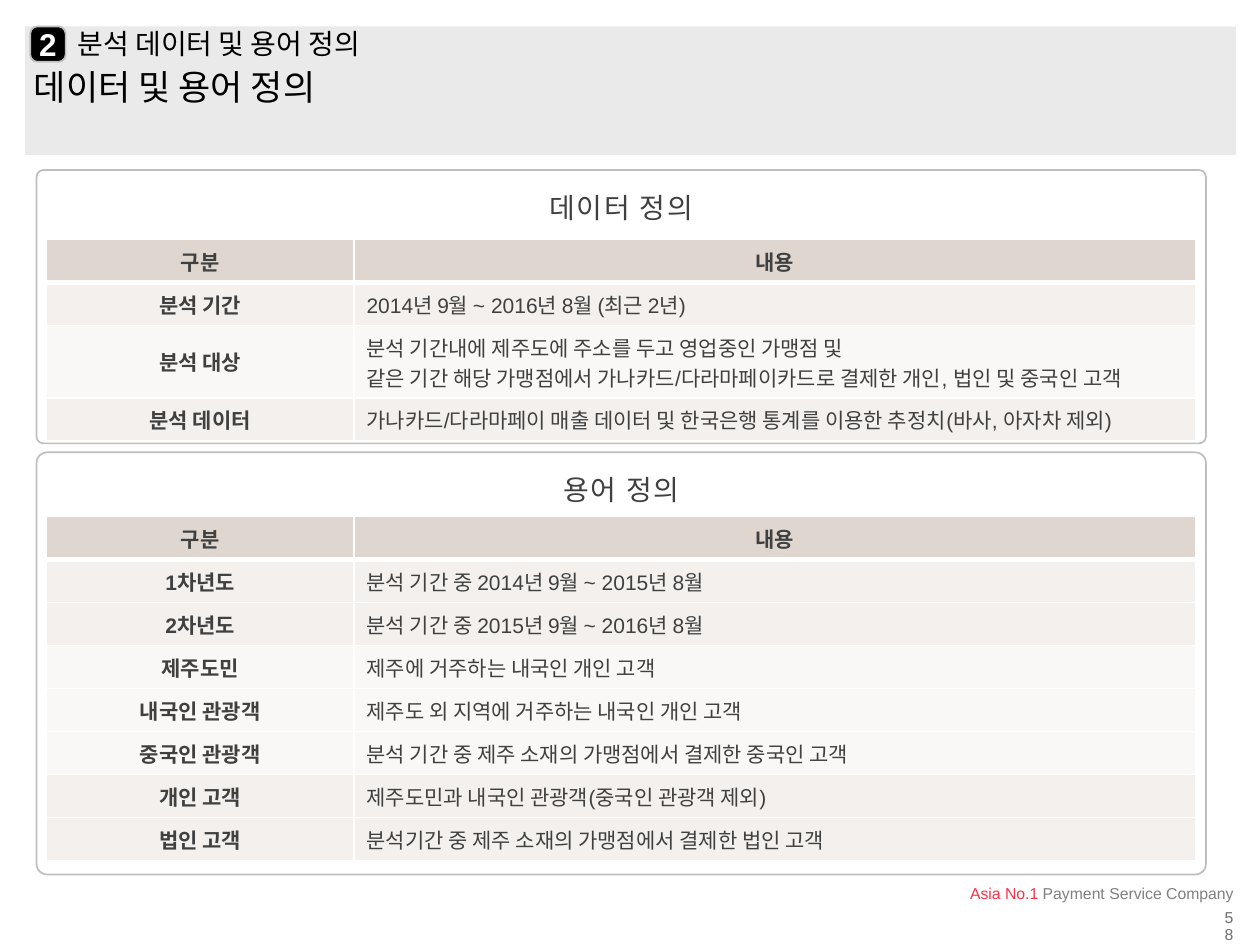
"""Build the slide that defines the analysis data and terms."""
from lxml import etree
from pptx import Presentation
from pptx.dml.color import RGBColor
from pptx.enum.shapes import MSO_SHAPE
from pptx.enum.text import MSO_ANCHOR, PP_ALIGN
from pptx.oxml.ns import qn
from pptx.util import Pt

LEFT, CENTER, RIGHT = PP_ALIGN.LEFT, PP_ALIGN.CENTER, PP_ALIGN.RIGHT
TOP, MIDDLE = MSO_ANCHOR.TOP, MSO_ANCHOR.MIDDLE
RECTANGLE, ROUNDED = MSO_SHAPE.RECTANGLE, MSO_SHAPE.ROUNDED_RECTANGLE

FONT = "Arial"
BLACK, DARK, SILVER, WHITE = "000000", "404040", "BFBFBF", "FFFFFF"
HEADER, BEIGE, PALE = "DFD6CF", "F3F0ED", "F9F8F6"

HEADINGS = ("구분", "내용")
DATA_ROWS = [
    ("분석 기간", "2014년 9월 ~ 2016년 8월 (최근 2년)", BEIGE),
    ("분석 대상", "분석 기간내에 제주도에 주소를 두고 영업중인 가맹점 및\n"
     "같은 기간 해당 가맹점에서 가나카드/다라마페이카드로 결제한 개인, 법인 및 중국인 고객", PALE),
    ("분석 데이터", "가나카드/다라마페이 매출 데이터 및 한국은행 통계를 이용한 추정치(바사, 아자차 제외)", BEIGE),
]
TERM_ROWS = [
    ("1차년도", "분석 기간 중 2014년 9월 ~ 2015년 8월", BEIGE),
    ("2차년도", "분석 기간 중 2015년 9월 ~ 2016년 8월", BEIGE),
    ("제주도민", "제주에 거주하는 내국인 개인 고객", PALE),
    ("내국인 관광객", "제주도 외 지역에 거주하는 내국인 개인 고객", PALE),
    ("중국인 관광객", "분석 기간 중 제주 소재의 가맹점에서 결제한 중국인 고객", PALE),
    ("개인 고객", "제주도민과 내국인 관광객(중국인 관광객 제외)", BEIGE),
    ("법인 고객", "분석기간 중 제주 소재의 가맹점에서 결제한 법인 고객", BEIGE),
]
SECTIONS = [
    ("데이터 정의", DATA_ROWS, 97.2, 156.2, 56.9, 136.8),
    ("용어 정의", TERM_ROWS, 258.5, 241.2, 45.4, 295.2),
]
PANEL_LEFT, PANEL_WIDTH = 20.9, 668.2
TABLE_LEFT, COLUMN_WIDTHS = 26.6, (175.7, 481)
ROW_HEIGHT, EXTRA_LINE = 24.6, 17


def color(value):
    return RGBColor.from_string(value)


def style(span, size, value, bold=False):
    span.font.name, span.font.size, span.font.bold = FONT, Pt(size), bold
    span.font.color.rgb = color(value)


def write(frame, spans, size, align, bold=False, spacing=None):
    para = frame.paragraphs[0]
    para.alignment = align
    if spacing:
        para.line_spacing = spacing
    for text, value in spans:
        span = para.add_run()
        span.text = text
        style(span, size, value, bold)


def set_insets(frame, left, top, right, bottom):
    frame.margin_left, frame.margin_top = Pt(left), Pt(top)
    frame.margin_right, frame.margin_bottom = Pt(right), Pt(bottom)


def add_text(page, area, spans, size, align=LEFT, anchor=TOP,
             insets=(0, 0, 0, 0), spacing=None):
    frame = page.shapes.add_textbox(*map(Pt, area)).text_frame
    frame.word_wrap, frame.vertical_anchor = True, anchor
    set_insets(frame, *insets)
    write(frame, spans, size, align, spacing=spacing)
    return frame


def add_block(page, kind, area, fill=None, line=None, adjust=None):
    block = page.shapes.add_shape(kind, *map(Pt, area))
    block.shadow.inherit = False
    if adjust:
        block.adjustments[0] = adjust
    if fill:
        block.fill.solid()
        block.fill.fore_color.rgb = color(fill)
    else:
        block.fill.background()
    if line:
        block.line.color.rgb, block.line.width = color(line), Pt(1)
    else:
        block.line.fill.background()
    return block


def set_borders(cell, top, bottom):
    properties = cell._tc.get_or_add_tcPr()
    widths = (("a:lnL", 1), ("a:lnR", 1), ("a:lnT", top), ("a:lnB", bottom))
    for index, (tag, width) in enumerate(widths):
        border = etree.Element(qn(tag), w=str(Pt(width)))
        fill = etree.SubElement(border, qn("a:solidFill"))
        etree.SubElement(fill, qn("a:srgbClr"), val=WHITE)
        properties.insert(index, border)


def add_definitions(page, top, entries):
    rows = [(*HEADINGS, HEADER)] + entries
    heights = [ROW_HEIGHT + EXTRA_LINE * row[1].count("\n") for row in rows]
    table = page.shapes.add_table(
        len(rows), 2, Pt(TABLE_LEFT), Pt(top),
        Pt(sum(COLUMN_WIDTHS)), Pt(sum(heights))).table
    for column, width in zip(table.columns, COLUMN_WIDTHS):
        column.width = Pt(width)
    for row_index, (*texts, fill) in enumerate(rows):
        table.rows[row_index].height = Pt(heights[row_index])
        for column_index, text in enumerate(texts):
            cell = table.cell(row_index, column_index)
            strong = row_index == 0 or column_index == 0
            cell.text_frame.text = text
            cell.vertical_anchor = MIDDLE
            cell.fill.solid()
            cell.fill.fore_color.rgb = color(fill)
            set_borders(cell, 3 if row_index == 1 else 1, 3 if row_index == 0 else 1)
            for para in cell.text_frame.paragraphs:
                para.alignment = CENTER if strong else LEFT
                style(para.runs[0], 12, DARK, strong)


def add_header(page):
    add_block(page, RECTANGLE, (14.4, 15.1, 691.9, 73.4), "EAEAEA")
    add_text(page, (19.4, 40.3, 640.8, 22.3),
             [("데이터 및 용어 정의", BLACK)], 20, spacing=0.9)
    add_text(page, (18, 15.1, 640.8, 21.6),
             [("분석 데이터 및 용어 정의", BLACK)], 16, anchor=MIDDLE,
             insets=(26.6, 0, 0, 0), spacing=0.9)
    badge = add_block(page, ROUNDED, (17.3, 15.1, 20.2, 20.2), BLACK, SILVER, 0.2)
    badge.text_frame.vertical_anchor = MIDDLE
    set_insets(badge.text_frame, 0, 5.8, 0, 5.8)
    write(badge.text_frame, [("2", WHITE)], 18, CENTER, bold=True)


def add_section(page, title, entries, top, height, title_height, table_top):
    frame = add_text(page, (PANEL_LEFT, top, PANEL_WIDTH, title_height),
                     [(title, DARK)], 16, CENTER, insets=(5.8, 5.8, 5.8, 8.6),
                     spacing=1.3)
    frame.paragraphs[0].runs[0].font._element.set("spc", "100")
    add_definitions(page, table_top, entries)
    add_block(page, ROUNDED, (PANEL_LEFT, top, PANEL_WIDTH, height),
              line=SILVER, adjust=0.025)


def add_footer(page):
    add_text(page, (509, 502.6, 203.8, 15.8),
             [("Asia No.1 ", "FA3246"), ("Payment Service Company", "808080")],
             9, RIGHT, MIDDLE, (7.9, 4.3, 7.9, 4.3))
    add_text(page, (699.8, 519.8, 5, 10.1), [("58", "716D6D")], 9, RIGHT, spacing=0.9)


def main():
    deck = Presentation()
    deck.slide_width, deck.slide_height = Pt(720), Pt(540)
    page = deck.slides.add_slide(deck.slide_layouts[6])
    add_header(page)
    for title, entries, top, height, title_height, table_top in SECTIONS:
        add_section(page, title, entries, top, height, title_height, table_top)
    add_footer(page)
    deck.save("out.pptx")


if __name__ == "__main__":
    main()
